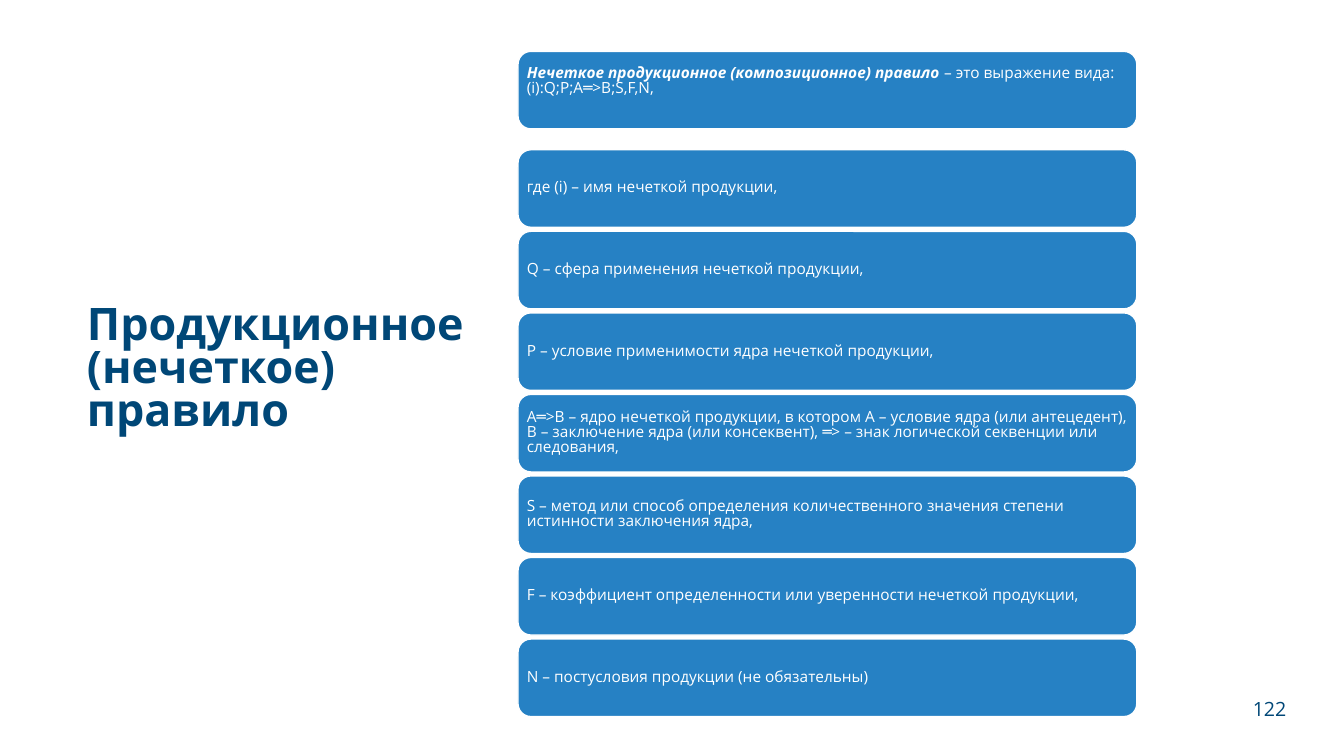
from pptx import Presentation
from pptx.dml.color import RGBColor
from pptx.enum.shapes import MSO_SHAPE
from pptx.enum.text import MSO_ANCHOR, PP_ALIGN
from pptx.util import Pt

FONT = "Open Sans"
NAVY, BLUE, WHITE = "004777", "2681C4", "FFFFFF"
CARD_LEFT, CARD_WIDTH, CARD_HEIGHT = 370, 442, 55.4
RULE_TOP, FIRST_TERM_TOP, TERM_STEP = 36.7, 107, 58.25
CARD_INSET = 3.6
TIGHT = 0.8

RULE_NAME = "Нечеткое продукционное (композиционное) правило\u00a0"
RULE_MEANING = "– это выражение вида:"
RULE_FORM = "(i):Q;P;A═>B;S,F,N,"
TERMS = [
    "где (i) – имя нечеткой продукции,",
    "Q – сфера применения нечеткой продукции,",
    "P – условие применимости ядра нечеткой продукции,",
    "A═>B – ядро нечеткой продукции, в котором A – условие ядра (или антецедент), "
    "B – заключение ядра (или консеквент), ═> – знак логической секвенции или следования,",
    "S – метод или способ определения количественного значения степени "
    "истинности заключения ядра,",
    "F – коэффициент определенности или уверенности нечеткой продукции,",
    "N – постусловия продукции (не обязательны)",
]


def color(hex_code):
    return RGBColor.from_string(hex_code)


def style(paragraph, size, hex_code, bold=None, align=PP_ALIGN.LEFT, spacing=TIGHT):
    paragraph.alignment = align
    paragraph.line_spacing = spacing
    font = paragraph.font
    font.name, font.size, font.bold = FONT, Pt(size), bold
    font.color.rgb = color(hex_code)


def add_label(slide, text, left, top, width, height, size, **look):
    frame = slide.shapes.add_textbox(Pt(left), Pt(top), Pt(width), Pt(height)).text_frame
    frame.word_wrap = True
    frame.vertical_anchor = MSO_ANCHOR.MIDDLE
    frame.text = text
    style(frame.paragraphs[0], size, NAVY, **look)


def add_card(slide, top, text=""):
    """Draw a rounded card and return its text frame."""
    card = slide.shapes.add_shape(MSO_SHAPE.ROUNDED_RECTANGLE, Pt(CARD_LEFT), Pt(top),
                                  Pt(CARD_WIDTH), Pt(CARD_HEIGHT))
    card.shadow.inherit = False
    card.fill.solid()
    card.fill.fore_color.rgb = color(BLUE)
    card.line.color.rgb = color(WHITE)
    card.line.width = Pt(1)
    frame = card.text_frame
    frame.word_wrap = True
    frame.vertical_anchor = MSO_ANCHOR.MIDDLE
    frame.margin_left = frame.margin_right = Pt(CARD_INSET)
    frame.margin_top = frame.margin_bottom = Pt(CARD_INSET)
    frame.text = text
    style(frame.paragraphs[0], 11, WHITE)
    return frame


def add_rule_card(slide):
    frame = add_card(slide, RULE_TOP)
    frame.margin_bottom = Pt(CARD_INSET + 12)
    definition = frame.paragraphs[0]
    rule_name = definition.add_run()
    rule_name.text = RULE_NAME
    rule_name.font.bold = rule_name.font.italic = True
    definition.add_run().text = RULE_MEANING
    definition.add_line_break()
    definition.add_run().text = RULE_FORM


def main():
    presentation = Presentation()
    presentation.slide_width, presentation.slide_height = Pt(960), Pt(540)
    slide = presentation.slides.add_slide(presentation.slide_layouts[6])
    add_label(slide, "Продукционное (нечеткое) правило", 55, 215, 312, 100, 32, bold=True)
    add_label(slide, "122", 869, 492.5, 57, 28, 14, align=PP_ALIGN.RIGHT, spacing=1.0)
    add_rule_card(slide)
    for index, term in enumerate(TERMS):
        add_card(slide, FIRST_TERM_TOP + index * TERM_STEP, term)
    presentation.save("out.pptx")


if __name__ == "__main__":
    main()
